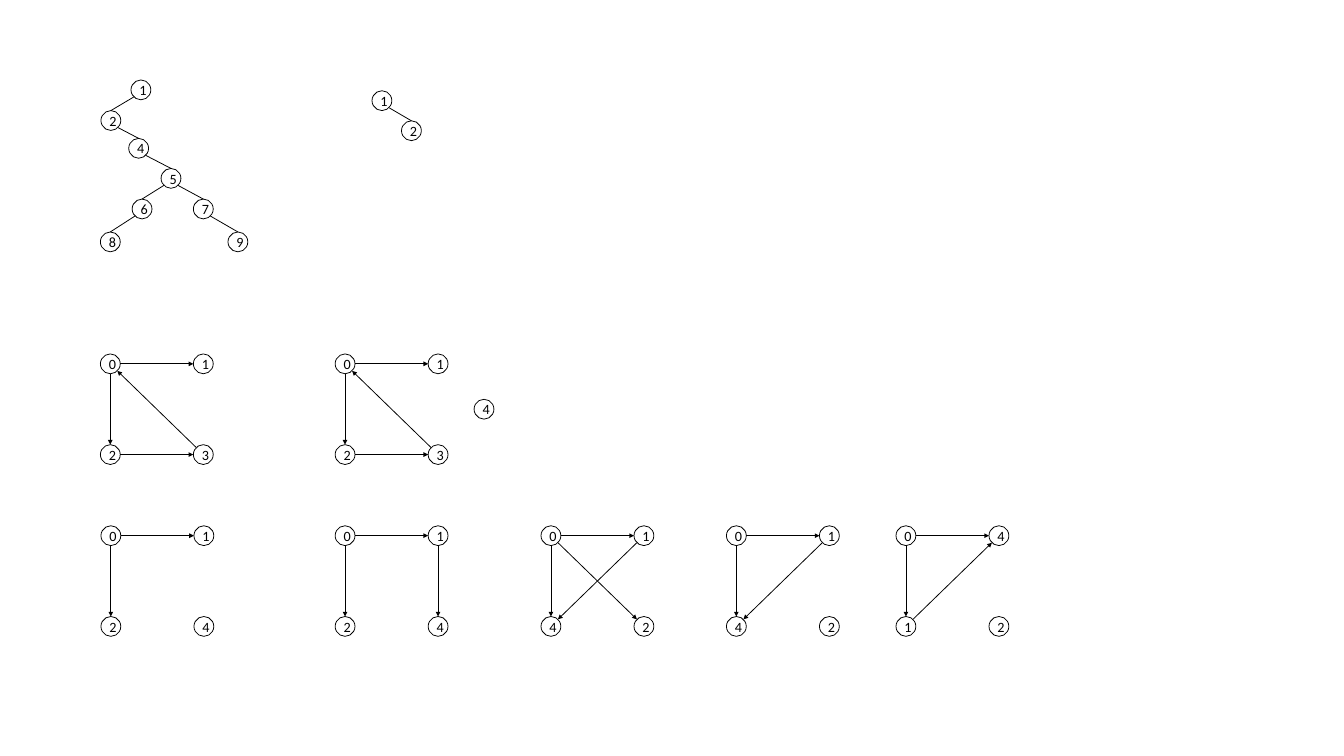
from dataclasses import dataclass
from math import sqrt

from lxml.etree import SubElement
from pptx import Presentation
from pptx.dml.color import RGBColor
from pptx.enum.shapes import MSO_CONNECTOR as Connector, MSO_SHAPE as Preset
from pptx.enum.text import MSO_ANCHOR as Anchor, PP_ALIGN as Align
from pptx.oxml.ns import qn
from pptx.slide import Slide
from pptx.text.text import TextFrame
from pptx.util import Inches, Pt

Point = tuple[float, float]


@dataclass(frozen=True)
class Theme:
    font: str = "Calibri"
    text_size: float = 18
    line_width: float = 1
    ink: RGBColor = RGBColor(0, 0, 0)
    paper: RGBColor = RGBColor(255, 255, 255)


@dataclass(frozen=True)
class Graph:
    """Node corners by label, and edges as two-label words such as "01"."""
    nodes: dict[str, Point]
    edges: str
    is_tree: bool = False


THEME = Theme()
DIAMETER = 0.35
RADIUS = DIAMETER / 2
SQUARE_WIDTH, SQUARE_HEIGHT = 1.64, 1.6
UPPER_ROW, LOWER_ROW = 6.24, 9.27


def square_graph(left: float, top: float, labels: str, edges: str) -> Graph:
    """Place four labels row by row on the corners of a square."""
    corners = [(left + column * SQUARE_WIDTH, top + row * SQUARE_HEIGHT)
               for row in range(2) for column in range(2)]
    return Graph(dict(zip(labels, corners)), edges)


GRAPHS = [
    Graph({"1": (2.31, 1.41), "2": (1.78, 1.95), "4": (2.27, 2.44),
           "5": (2.84, 2.97), "6": (2.33, 3.51), "7": (3.41, 3.51),
           "8": (1.77, 4.09), "9": (4.02, 4.09)},
          "12 24 45 56 57 68 79", is_tree=True),
    Graph({"1": (6.56, 1.6), "2": (7.08, 2.13)}, "12", is_tree=True),
    square_graph(1.77, UPPER_ROW, "0123", "01 02 23 30"),
    square_graph(5.91, UPPER_ROW, "0123", "01 02 23 30"),
    Graph({"4": (8.36, 7.04)}, ""),
    square_graph(1.78, LOWER_ROW, "0124", "01 02"),
    square_graph(5.91, LOWER_ROW, "0124", "01 02 14"),
    square_graph(9.54, LOWER_ROW, "0142", "01 02 14 04"),
    square_graph(12.81, LOWER_ROW, "0142", "01 14 04"),
    square_graph(15.8, LOWER_ROW, "0412", "01 14 04"),
]


def write_text(frame: TextFrame, text: str, *, font: str = THEME.font,
               size: float = THEME.text_size, color: RGBColor = THEME.ink,
               align: Align = Align.CENTER, anchor: Anchor = Anchor.MIDDLE) -> None:
    frame.vertical_anchor = anchor
    para = frame.paragraphs[0]
    para.alignment = align
    span = para.add_run()
    span.text = text
    span.font.name = font
    span.font.size = Pt(size)
    span.font.color.rgb = color


def draw_node(page: Slide, label: str, corner: Point) -> None:
    left, top = corner
    circle = page.shapes.add_shape(Preset.OVAL, Inches(left), Inches(top),
                                   Inches(DIAMETER), Inches(DIAMETER))
    circle.shadow.inherit = False
    circle.fill.solid()
    circle.fill.fore_color.rgb = THEME.paper
    circle.line.color.rgb = THEME.ink
    circle.line.width = Pt(THEME.line_width)
    write_text(circle.text_frame, label)


def sign(value: float) -> int:
    return (value > 0) - (value < 0)


def rim_point(corner: Point, across: int, down: int) -> Point:
    """Point on a node's rim in one of the eight compass directions."""
    reach = RADIUS / sqrt(abs(across) + abs(down))
    return (corner[0] + RADIUS + across * reach, corner[1] + RADIUS + down * reach)


def draw_edge(page: Slide, source: Point, target: Point, is_tree: bool) -> None:
    """Tree edges enter a child at its top; other edges are arrows."""
    across, down = sign(target[0] - source[0]), sign(target[1] - source[1])
    start = rim_point(source, across, down)
    end = rim_point(target, 0, -1) if is_tree else rim_point(target, -across, -down)
    edge = page.shapes.add_connector(Connector.STRAIGHT,
                                     *(Inches(length) for length in start + end))
    edge.line.color.rgb = THEME.ink
    edge.line.width = Pt(THEME.line_width)
    if not is_tree:
        SubElement(edge.line._get_or_add_ln(), qn("a:tailEnd"), type="triangle")
    SubElement(edge._element.spPr, qn("a:effectLst"))


def draw_graph(page: Slide, graph: Graph) -> None:
    for label, corner in graph.nodes.items():
        draw_node(page, label, corner)
    for source, target in graph.edges.split():
        draw_edge(page, graph.nodes[source], graph.nodes[target], graph.is_tree)


def main() -> None:
    deck = Presentation()
    deck.slide_width, deck.slide_height = Inches(23.7), Inches(13.33)
    page = deck.slides.add_slide(deck.slide_layouts[6])
    for graph in GRAPHS:
        draw_graph(page, graph)
    deck.save("out.pptx")


if __name__ == "__main__":
    main()
